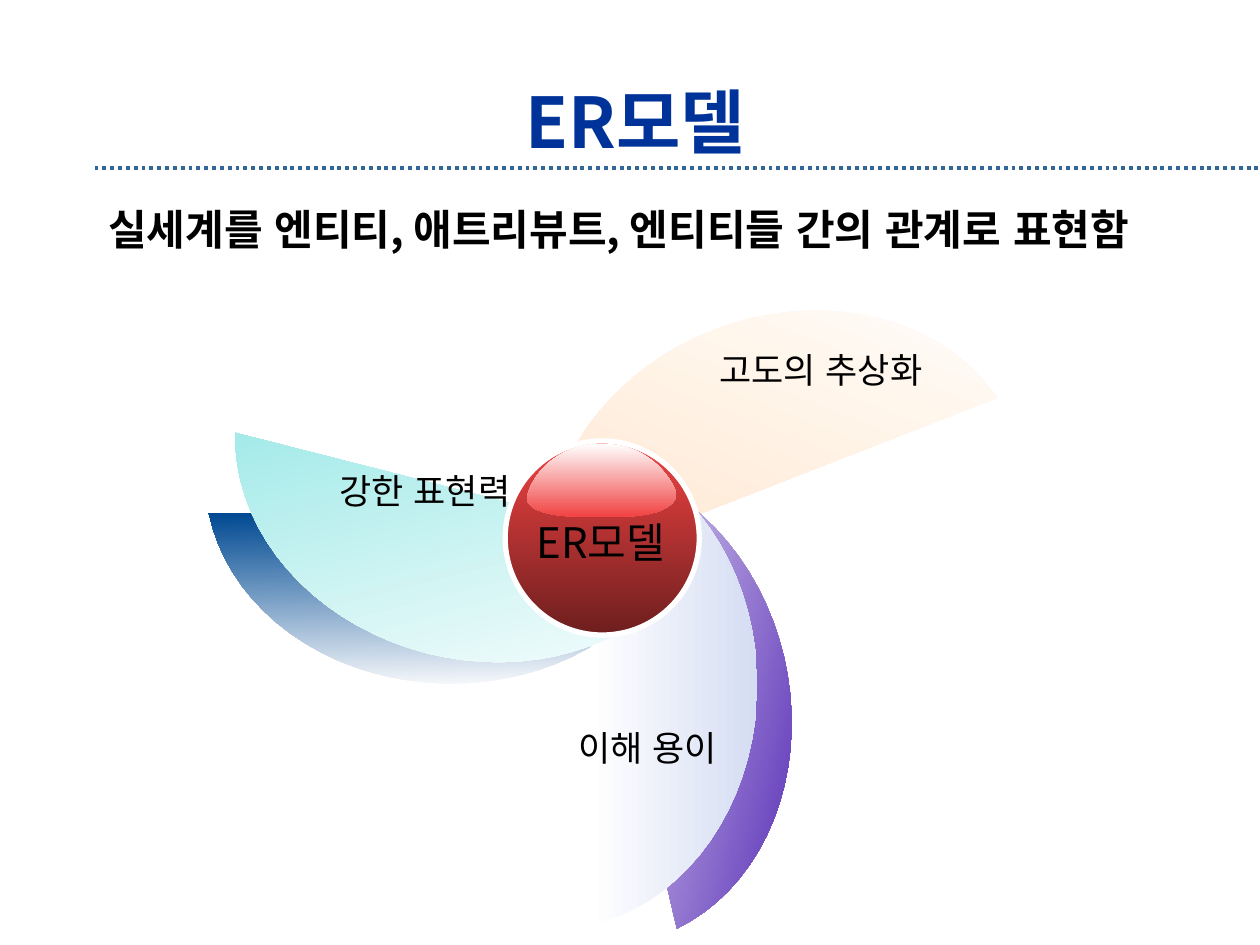
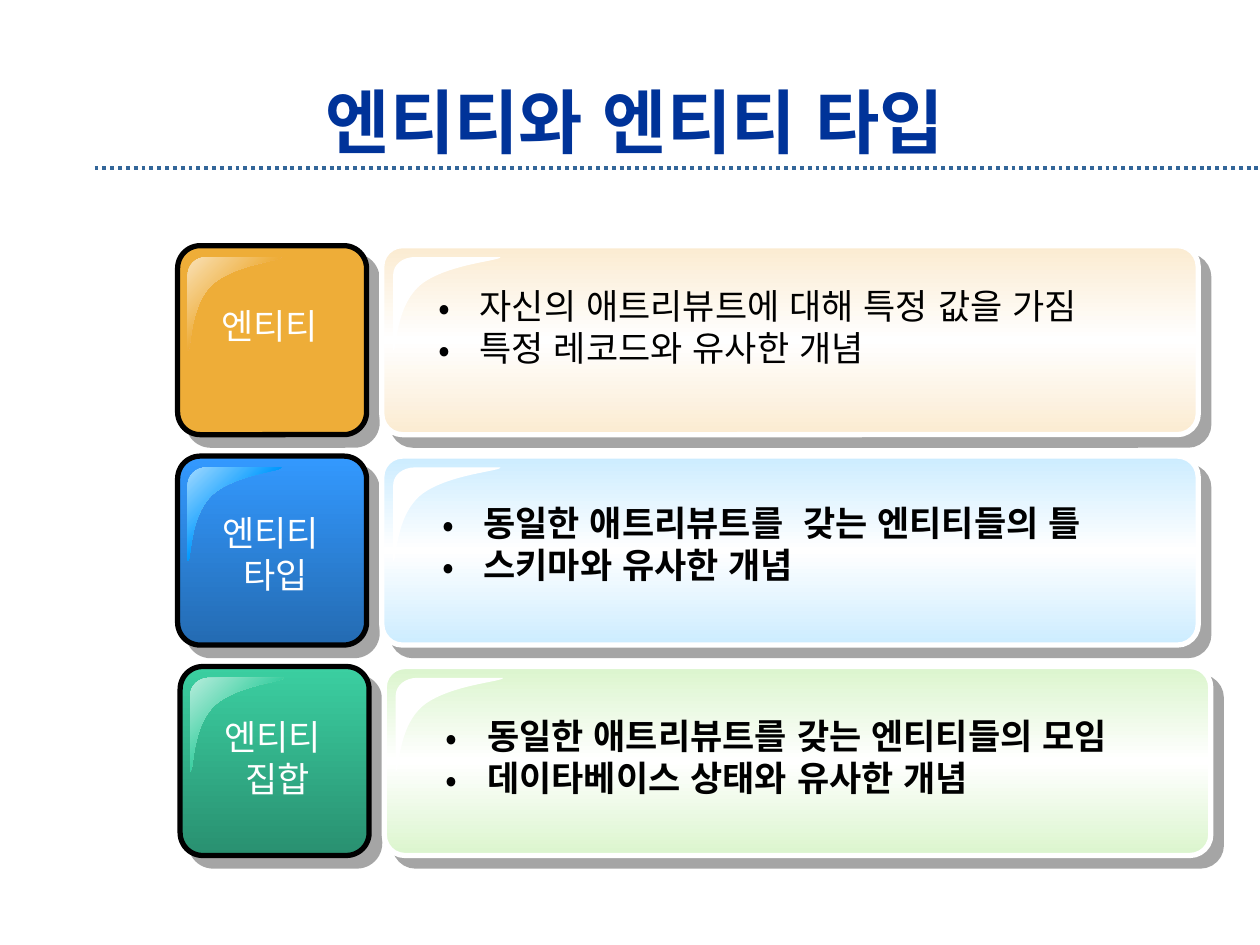
from dataclasses import dataclass
from math import acos, cos, sin

from lxml import etree
from pptx import Presentation
from pptx.dml.color import RGBColor
from pptx.enum.dml import MSO_LINE
from pptx.enum.shapes import MSO_CONNECTOR, MSO_SHAPE
from pptx.enum.text import MSO_ANCHOR, MSO_AUTO_SIZE, PP_ALIGN
from pptx.oxml.ns import qn
from pptx.util import Inches, Pt

ELLIPSE = MSO_SHAPE.OVAL
CARD = MSO_SHAPE.ROUNDED_RECTANGLE
STRAIGHT = MSO_CONNECTOR.STRAIGHT
DOTTED = MSO_LINE.ROUND_DOT
LEFT, CENTER, RIGHT = PP_ALIGN.LEFT, PP_ALIGN.CENTER, PP_ALIGN.RIGHT
TOP, MIDDLE = MSO_ANCHOR.TOP, MSO_ANCHOR.MIDDLE
GROW = MSO_AUTO_SIZE.SHAPE_TO_FIT_TEXT


@dataclass(frozen=True)
class Theme:
    font: str = "Noto Sans CJK KR"
    title: str = "003399"
    rule: str = "336699"
    ink: str = "000000"
    paper: str = "FFFFFF"
    shadow: str = "4D4D4D"
    red: str = "F14343"
    dark_red: str = "6E1E1E"
    title_size: int = 40
    lead_size: int = 24
    body_size: int = 20
    outline: float = 3


THEME = Theme()


def add_form(slide, form, box, colours, angle=0, line=None, shadow=False):
    """Add a preset shape, or an outline given in fractions of its box.

    Each step of an outline lists its end point last, after the two control
    points of a curve if it has them. Several colours make an evenly spaced
    gradient, turned clockwise by angle.
    """
    left, top, width, height = box
    if isinstance(form, list):
        ends = [(Inches(left + x * width), Inches(top + y * height)) for *_, (x, y) in form]
        builder = slide.shapes.build_freeform(*ends[0])
        builder.add_line_segments(ends[1:])
        shape = builder.convert_to_shape()
        edges = list(shape._element.spPr.iter(qn("a:lnTo")))
        for edge, (*controls, _) in zip(edges, form[1:]):
            if controls:
                curve = etree.Element(qn("a:cubicBezTo"))
                for x, y in controls:
                    etree.SubElement(curve, qn("a:pt"), x=str(Inches(x * width)),
                                     y=str(Inches(y * height)))
                curve.append(edge[0])
                edge.getparent().replace(edge, curve)
    else:
        shape = slide.shapes.add_shape(form, *map(Inches, box))
    if len(colours) == 1:
        shape.fill.solid()
        shape.fill.fore_color.rgb = RGBColor.from_string(colours[0])
    else:
        shape.fill.gradient()
        shape.fill.gradient_angle = (360 - angle) % 360
        gradient = shape._element.spPr.find(qn("a:gradFill"))
        gradient.set("rotWithShape", "0")
        stops = gradient.find(qn("a:gsLst"))
        stops.clear()
        for index, colour in enumerate(colours):
            position = str(100000 * index // (len(colours) - 1))
            stop = etree.SubElement(stops, qn("a:gs"), pos=position)
            etree.SubElement(stop, qn("a:srgbClr"), val=colour)
    if line:
        shape.line.color.rgb = RGBColor.from_string(line)
        shape.line.width = Pt(THEME.outline)
    else:
        shape.line.fill.background()
    shape.shadow.inherit = False
    if shadow:
        effects = shape._element.spPr.find(qn("a:effectLst"))
        cast = etree.SubElement(effects, qn("a:outerShdw"), blurRad="0", dist=str(Pt(8.5)),
                                dir="2700000", algn="ctr", rotWithShape="0")
        tint = etree.SubElement(cast, qn("a:srgbClr"), val=THEME.shadow)
        etree.SubElement(tint, qn("a:alpha"), val="50000")
    return shape


def add_words(slide, box, paragraphs, size, colour=THEME.ink, bold=False, align=LEFT,
              wrap=False, grow=True, anchor=TOP, bullets=False):
    frame = slide.shapes.add_textbox(*map(Inches, box)).text_frame
    frame.word_wrap = wrap
    frame.vertical_anchor = anchor
    if grow:
        frame.auto_size = GROW
    for index, words in enumerate(paragraphs):
        paragraph = frame.add_paragraph() if index else frame.paragraphs[0]
        paragraph.alignment = align
        if bullets:
            properties = paragraph._p.get_or_add_pPr()
            properties.set("marL", str(Inches(0.25)))
            properties.set("indent", str(-Inches(0.25)))
            bullet_colour = etree.SubElement(properties, qn("a:buClr"))
            etree.SubElement(bullet_colour, qn("a:srgbClr"), val=colour)
            etree.SubElement(properties, qn("a:buFont"), typeface=THEME.font)
            etree.SubElement(properties, qn("a:buChar"), char="•")
        run = paragraph.add_run()
        run.text = words
        run.font.size = Pt(size)
        run.font.bold = bold
        run.font.color.rgb = RGBColor.from_string(colour)
        run.font.name = THEME.font
        characters = run._r.get_or_add_rPr()
        characters.set("lang", "ko-KR")
        characters.set("kern", "0")
        etree.SubElement(characters, qn("a:ea"), typeface=THEME.font)


# Petal: the part of an ellipse to the right of a chord
half_sweep = acos(0.3 / 1.62)
sweep = [half_sweep * step / 18 for step in range(-18, 19)]
petal = [[((1.62 * cos(a) - 0.3) / 1.32, 0.5 + 0.5 * sin(a) / sin(half_sweep))] for a in sweep]

ball_gloss = [
    [(1, 0.67)],
    [(1, 0.88), (0.85, 1), (0.62, 1)],
    [(0.36, 1)],
    [(0.14, 1), (0, 0.9), (0, 0.74)],
    [(0.05, 0.33), (0.25, 0), (0.5, 0)],
    [(0.75, 0), (0.92, 0.3), (1, 0.67)],
]
card_gloss = [
    [(0.2, 0)],
    [(0.09, 0), (0, 0.08), (0, 0.19)],
    [(0, 0.99)],
    [(0.04, 1), (0.01, 0.51), (0.27, 0.28)],
    [(0.52, 0.07), (1, 0.04), (0.99, 0)],
]

prs = Presentation()
prs.slide_width, prs.slide_height = Inches(10), Inches(7.5)
model_slide, entity_slide = [prs.slides.add_slide(prs.slide_layouts[6]) for _ in range(2)]

# The rule under the title belongs to the master
rule = model_slide.shapes.add_connector(STRAIGHT, Inches(0.75), Inches(1.33), Inches(10), Inches(1.33))
rule.line.color.rgb = RGBColor.from_string(THEME.rule)
rule.line.width = Pt(2.25)
rule.line.dash_style = DOTTED
etree.SubElement(rule._element.spPr, qn("a:effectLst"))
prs.slide_master.shapes._spTree.append(rule._element)

for slide, title in ((model_slide, "ER모델"), (entity_slide, "엔티티와 엔티티 타입")):
    add_words(slide, (0.75, 0.67, 8.58, 0.58), [title], THEME.title_size, THEME.title,
              bold=True, align=CENTER, wrap=True, grow=False, anchor=MIDDLE)

# Slide 1: petals around the model
for left, top, rotation, colour in (
    (5.24, 1.33, 248.7, "FFE6CD"),
    (4.92, 3.46, 346.8, "4516AE"),
    (2.89, 2.86, 91, "004992"),
    (4.69, 3.53, 0, "D5DDF3"),
    (2.89, 2.64, 104.3, "A2EAE8"),
):
    blade = add_form(model_slide, petal, (left, top, 1.32, 3.81), (THEME.paper, colour),
                     angle=(360 - rotation) % 360)
    blade.rotation = rotation

add_form(model_slide, ELLIPSE, (4.01, 3.5, 1.54, 1.54), (THEME.red, THEME.dark_red),
         angle=90, line=THEME.paper)
add_form(model_slide, ball_gloss, (4.18, 3.52, 1.19, 0.58), (THEME.paper, THEME.red), angle=90)

add_words(model_slide, (4.16, 4.05, 1.35, 0.5), ["ER모델"], THEME.lead_size)
for box, strength, align in (
    ((2.52, 3.68, 1.63, 0.44), "강한 표현력", RIGHT),
    ((5.61, 2.72, 1.9, 0.44), "고도의 추상화", LEFT),
    ((4.43, 5.72, 1.36, 0.44), "이해 용이", RIGHT),
):
    add_words(model_slide, box, [strength], THEME.body_size, align=align)
add_words(model_slide, (0.76, 1.57, 9.03, 0.5),
          ["실세계를 엔티티, 애트리뷰트, 엔티티들 간의 관계로 표현함"], THEME.lead_size, bold=True)

# Slide 2: one row per concept
concepts = [
    dict(left=1.41, panel_width=6.48, tile=("EEAD38",), shine=("F9E1B6", "EEAD38"), tint="FBEBD1",
         label=["엔티티"], label_box=(1.64, 2.37, 1, 0.44), bold=False,
         facts=[" 자신의 애트리뷰트에 대해 특정 값을 가짐", " 특정 레코드와 유사한 개념"],
         facts_box=(3.38, 2.21, 5.82, 0.77)),
    dict(left=1.41, panel_width=6.48, tile=("3399FF", "246BB2"), shine=("A2DAFF", "0099FF"),
         tint="CCECFF",
         label=["엔티티 ", "타입"], label_box=(1.64, 4.01, 1.09, 0.77), bold=True,
         facts=[" 동일한 애트리뷰트를  갖는 엔티티들의 틀", " 스키마와 유사한 개념"],
         facts_box=(3.41, 3.93, 5.82, 0.77)),
    dict(left=1.43, panel_width=6.56, tile=("3BCFA1", "299070"), shine=("B8EDDD", "3BCFA1"),
         tint="DBF5CD",
         label=["엔티티 ", "집합"], label_box=(1.66, 5.63, 1.09, 0.77), bold=True,
         facts=[" 동일한 애트리뷰트를 갖는 엔티티들의 모임", " 데이타베이스 상태와 유사한 개념"],
         facts_box=(3.44, 5.62, 5.89, 0.77)),
]
for row, concept in enumerate(concepts):
    top = 1.95 + 1.67 * row
    left, panel_left = concept["left"], concept["left"] + 1.62
    light, base = concept["shine"]

    tile = add_form(entity_slide, CARD, (left, top, 1.5, 1.5), concept["tile"],
                    angle=90, line=THEME.ink, shadow=True)
    tile.adjustments[0] = 0.12
    add_form(entity_slide, card_gloss, (left + 0.08, top + 0.09, 0.75, 0.75),
             (light, base, light), angle=45)
    add_words(entity_slide, concept["label_box"], concept["label"], THEME.body_size,
              THEME.paper, align=CENTER)

    panel = add_form(entity_slide, CARD, (panel_left, top, concept["panel_width"], 1.5),
                     (concept["tint"], THEME.paper, concept["tint"]),
                     angle=90, line=THEME.paper, shadow=True)
    panel.adjustments[0] = 0.11
    add_form(entity_slide, card_gloss, (panel_left + 0.09, top + 0.09, 0.86, 0.75), (THEME.paper,))
    add_words(entity_slide, concept["facts_box"], concept["facts"], THEME.body_size,
              bold=concept["bold"], wrap=True, bullets=True)

prs.save("out.pptx")
